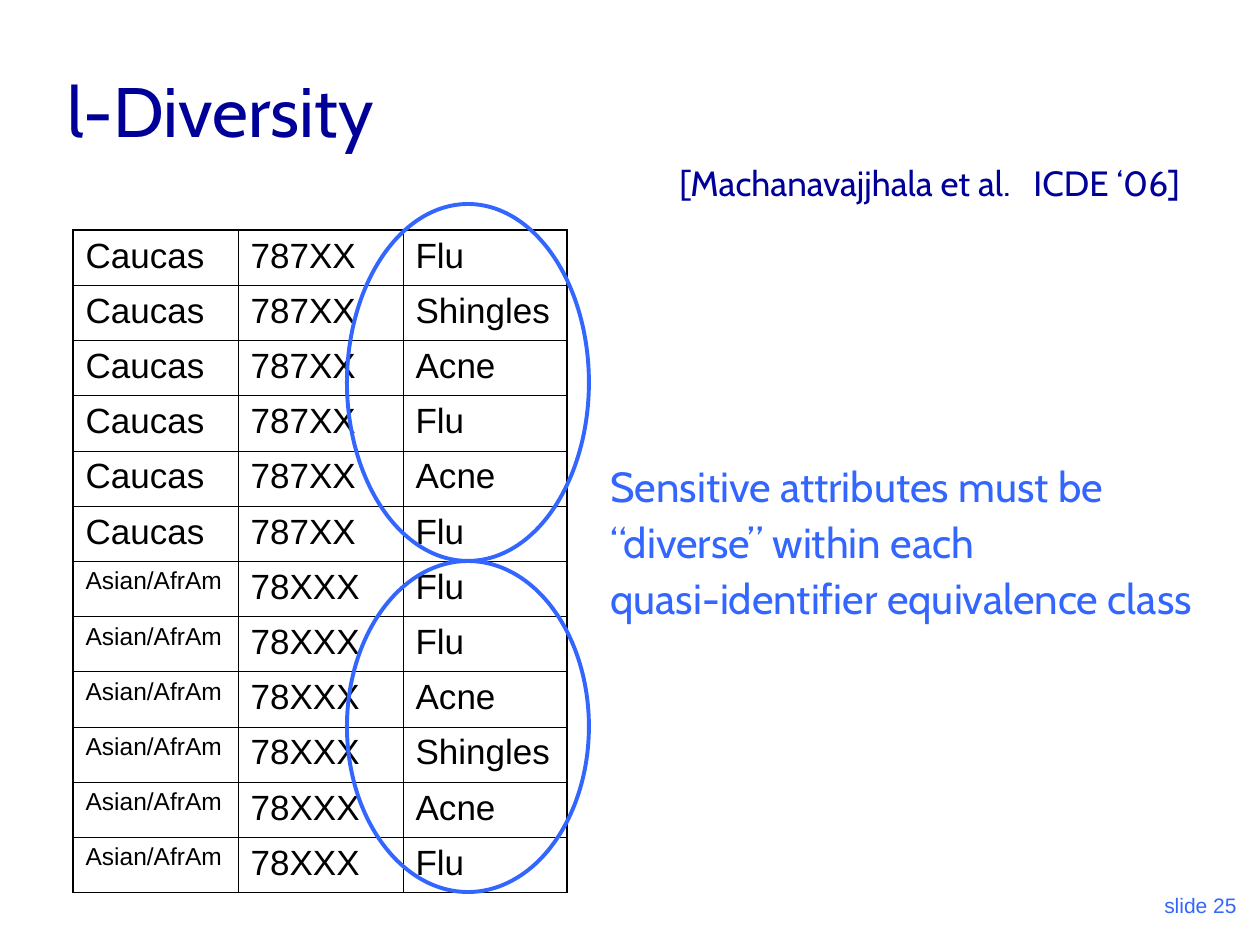
from lxml.etree import SubElement
from pptx import Presentation
from pptx.dml.color import RGBColor
from pptx.enum.shapes import MSO_SHAPE
from pptx.enum.text import MSO_ANCHOR, PP_ALIGN
from pptx.oxml.ns import qn
from pptx.util import Pt

PX = 914400 / 126
COLORS = {"black": "000000", "white": "FFFFFF", "navy": "000099", "blue": "3366FF"}

TITLE = ["l-Diversity"]
CITATION = ["[Machanavajjhala et al.\tICDE ‘06]"]
MESSAGE = [
    "Sensitive attributes must be",
    "“diverse” within each",
    "quasi-identifier equivalence class",
]
FOOTER = ["slide 25"]
CLASSES = [
    ("Caucas", 20, "787XX", ["Flu", "Shingles", "Acne", "Flu", "Acne", "Flu"]),
    ("Asian/AfrAm", 14, "78XXX", ["Flu", "Flu", "Acne", "Shingles", "Acne", "Flu"]),
]
TABLE_BOX = (73, 230, 494, 663)
COLUMN_WIDTHS = [165, 165, 164]
CLASS_OVALS = [(347, 204, 242, 357), (347, 561, 242, 331)]
CITATION_TAB = 354
THIN, THICK = 0.45, 1.08


def px(n):
    return round(n * PX)


def rgb(name):
    return RGBColor.from_string(COLORS[name])


def format_paragraph(p, size, font, color, before=0):
    p.space_before = Pt(before)
    for r in p.runs:
        r.font.size = Pt(size)
        r.font.name = font
        r.font.color.rgb = rgb(color)


def add_text(slide, box, lines, size, font, color, before=0,
             anchor=MSO_ANCHOR.TOP, align=PP_ALIGN.LEFT, spacing=None):
    sp = slide.shapes.add_textbox(*map(px, box))
    tf = sp.text_frame
    tf.word_wrap = True
    tf.vertical_anchor = anchor
    tf.text = "\n".join(lines)
    for p in tf.paragraphs:
        p.alignment = align
        p.line_spacing = spacing
        format_paragraph(p, size, font, color, before)
    return sp


def add_tab_stop(p, position):
    tabs = SubElement(p._p.get_or_add_pPr(), qn("a:tabLst"))
    SubElement(tabs, qn("a:tab"), pos=str(px(position)), algn="l")


def set_borders(cell, widths):
    tc_pr = cell._tc.get_or_add_tcPr()
    for side in "LRTB":
        ln = SubElement(tc_pr, qn(f"a:ln{side}"), w=str(Pt(widths[side])))
        fill = SubElement(ln, qn("a:solidFill"))
        SubElement(fill, qn("a:srgbClr"), val=COLORS["black"])


def add_class_table(slide):
    rows = [
        [(group, size), (code, 20), (disease, 20)]
        for group, size, code, diseases in CLASSES
        for disease in diseases
    ]
    last_row, last_col = len(rows) - 1, len(COLUMN_WIDTHS) - 1
    table = slide.shapes.add_table(
        len(rows), len(COLUMN_WIDTHS), *map(px, TABLE_BOX)).table
    table.first_row = table.horz_banding = False
    for column, width in zip(table.columns, COLUMN_WIDTHS):
        column.width = px(width)
    for i, row in enumerate(rows):
        table.rows[i].height = px(TABLE_BOX[3] / len(rows))
        for j, (text, size) in enumerate(row):
            cell = table.cell(i, j)
            cell.text_frame.text = text
            format_paragraph(cell.text_frame.paragraphs[0], size, "Arial",
                             "black", size / 4)
            outer = {"L": j == 0, "R": j == last_col,
                     "T": i == 0, "B": i == last_row}
            set_borders(cell, {k: THICK if v else THIN for k, v in outer.items()})
            cell.fill.background()


def add_oval(slide, box):
    sp = slide.shapes.add_shape(MSO_SHAPE.OVAL, *map(px, box))
    sp.shadow.inherit = False
    sp.fill.background()
    sp.line.color.rgb = rgb("blue")
    sp.line.width = Pt(2.25)


def main():
    prs = Presentation()
    prs.slide_width, prs.slide_height = px(1260), px(945)
    s = prs.slides.add_slide(prs.slide_layouts[6])

    add_class_table(s)
    add_text(s, (598, 460, 651, 215), MESSAGE, 24, "Cabin", "blue", 6, spacing=0.9)
    citation = add_text(s, (667, 155, 576, 55), CITATION, 20, "Cabin", "navy", 5)
    citation.fill.solid()
    citation.fill.fore_color.rgb = rgb("white")
    add_tab_stop(citation.text_frame.paragraphs[0], CITATION_TAB)
    for box in CLASS_OVALS:
        add_oval(s, box)
    add_text(s, (55, 32, 1071, 126), TITLE, 40, "Cabin", "navy",
             anchor=MSO_ANCHOR.BOTTOM)
    add_text(s, (987, 861, 262, 63), FOOTER, 12, "Arial", "blue", 7.5,
             MSO_ANCHOR.BOTTOM, PP_ALIGN.RIGHT)

    prs.save("out.pptx")


if __name__ == "__main__":
    main()
